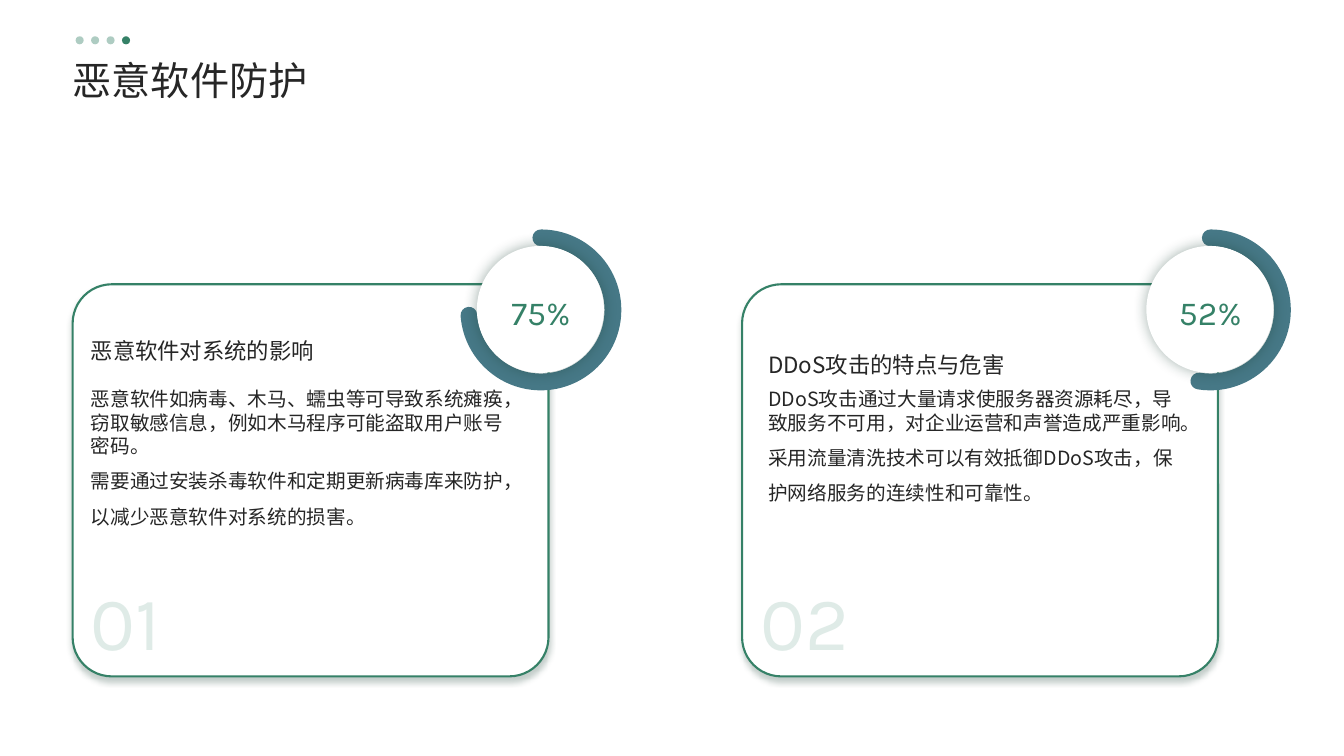
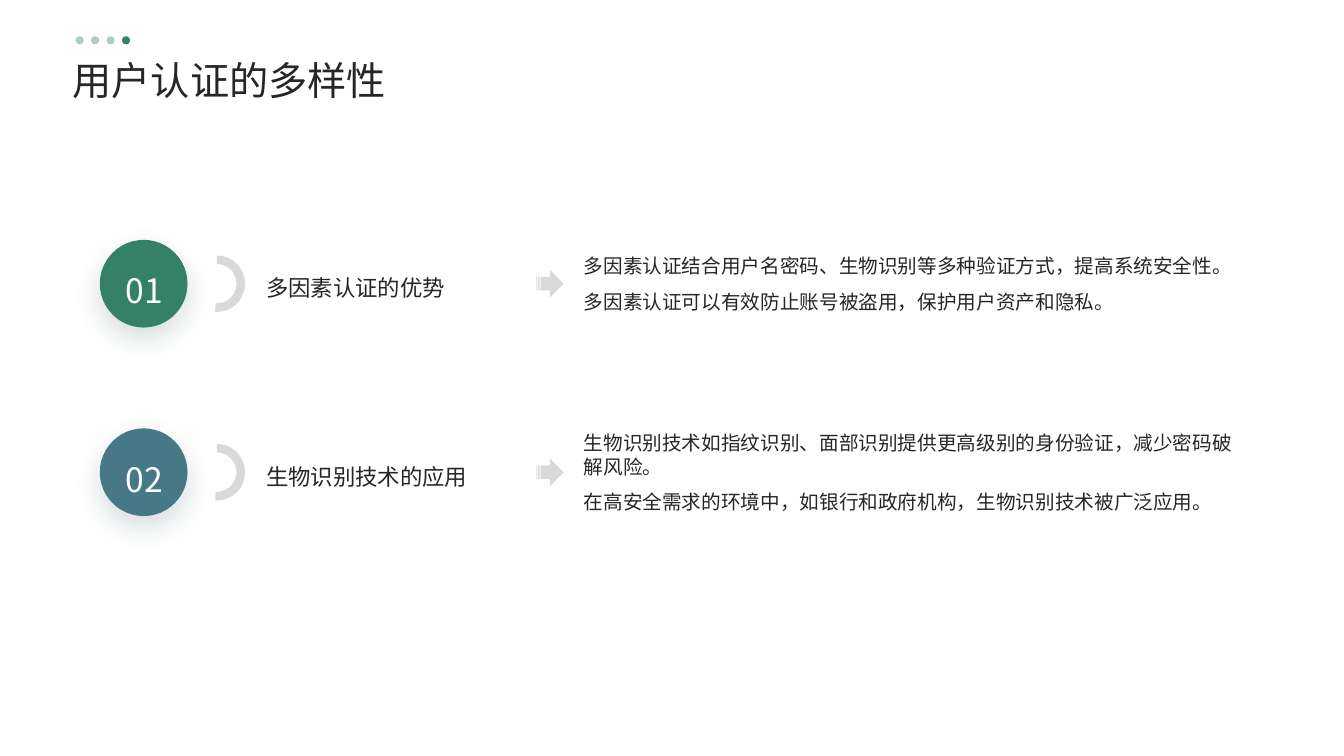
from lxml import etree
from pptx import Presentation
from pptx.dml.color import RGBColor
from pptx.enum.shapes import MSO_SHAPE
from pptx.enum.text import MSO_ANCHOR, PP_ALIGN
from pptx.oxml.ns import qn
from pptx.util import Inches, Pt

OVAL, CARD, ARC = MSO_SHAPE.OVAL, MSO_SHAPE.ROUNDED_RECTANGLE, MSO_SHAPE.ARC
BLOCK_ARC, ARROW = MSO_SHAPE.BLOCK_ARC, MSO_SHAPE.STRIPED_RIGHT_ARROW
TOP, MIDDLE, BOTTOM = MSO_ANCHOR.TOP, MSO_ANCHOR.MIDDLE, MSO_ANCHOR.BOTTOM
LEFT, CENTER = PP_ALIGN.LEFT, PP_ALIGN.CENTER

COLORS = {
    "green": "358167", "teal": "467886", "text": "262626", "white": "FFFFFF",
    "gray": "D9D9D9", "pale": "DFEBE7", "shade": "1B4034",
    "green shade": "28614D", "teal shade": "355A65",
}
CJK, LATIN = "Noto Sans CJK SC", "Karla"
BODY_SPACING = (Pt(16.8), Pt(25.2))  # first paragraph tight, second open

# Content
CARDS_TITLE = "恶意软件防护"
CARDS = [
    {"number": "01", "percent": "75%", "arc_end": 105.44,
     "heading": "恶意软件对系统的影响", "indent": 0.18, "heading_height": 0.69,
     "body": ["恶意软件如病毒、木马、蠕虫等可导致系统瘫痪，窃取敏感信息，例如木马程序可能盗取用户账号密码。",
              "需要通过安装杀毒软件和定期更新病毒库来防护，以减少恶意软件对系统的损害。"]},
    {"number": "02", "percent": "52%", "arc_end": 59.51,
     "heading": "DDoS攻击的特点与危害", "indent": 0.26, "heading_height": 0.83,
     "body": ["DDoS攻击通过大量请求使服务器资源耗尽，导致服务不可用，对企业运营和声誉造成严重影响。",
              "采用流量清洗技术可以有效抵御DDoS攻击，保护网络服务的连续性和可靠性。"]},
]
ROWS_TITLE = "用户认证的多样性"
ROWS = [
    {"number": "01", "color": "green", "heading": "多因素认证的优势",
     "body": ["多因素认证结合用户名密码、生物识别等多种验证方式，提高系统安全性。",
              "多因素认证可以有效防止账号被盗用，保护用户资产和隐私。"]},
    {"number": "02", "color": "teal", "heading": "生物识别技术的应用",
     "body": ["生物识别技术如指纹识别、面部识别提供更高级别的身份验证，减少密码破解风险。",
              "在高安全需求的环境中，如银行和政府机构，生物识别技术被广泛应用。"]},
]


def rgb(name):
    return RGBColor.from_string(COLORS[name])


def add_color(parent, name, alpha):
    color = etree.SubElement(parent, qn("a:srgbClr"), val=COLORS[name])
    etree.SubElement(color, qn("a:alpha"), val=str(alpha * 1000))


def add_shape(shapes, kind, left, top, width, height, fill=None, line=None,
              line_width=1.5, adjust=(), shadow=None, alpha=None):
    """shadow is (colour, opacity, blur, distance, direction)."""
    shape = shapes.add_shape(kind, Inches(left), Inches(top), Inches(width), Inches(height))
    for index, value in enumerate(adjust):
        shape.adjustments[index] = value
    if fill:
        shape.fill.solid()
        shape.fill.fore_color.rgb = rgb(fill)
    else:
        shape.fill.background()
    if line:
        shape.line.color.rgb = rgb(line)
        shape.line.width = Pt(line_width)
    else:
        shape.line.fill.background()
    properties = shape.element.spPr
    if alpha:
        solid = properties.find(qn("a:solidFill"))
        solid.clear()
        add_color(solid, fill, alpha)
    shape.shadow.inherit = False
    if shadow:
        name, opacity, blur, distance, direction = shadow
        outer = etree.SubElement(
            properties.find(qn("a:effectLst")), qn("a:outerShdw"),
            blurRad=str(Pt(blur)), dist=str(Pt(distance)),
            dir=str(direction * 60000), algn="ctr", rotWithShape="0")
        add_color(outer, name, opacity)
    return shape


def add_text(page, paragraphs, left, top, width, height, size, color="text",
             font=CJK, anchor=MIDDLE, align=LEFT, spacing=(1.0,)):
    box = page.shapes.add_textbox(Inches(left), Inches(top), Inches(width), Inches(height))
    frame = box.text_frame
    frame.word_wrap = True
    frame.vertical_anchor = anchor
    frame.margin_left = frame.margin_right = frame.margin_top = frame.margin_bottom = 0
    frame.text = "\n".join(paragraphs)
    for para, line_spacing in zip(frame.paragraphs, spacing):
        para.alignment = align
        para.line_spacing = line_spacing
        para.font.size = Pt(size)
        para.font.color.rgb = rgb(color)
        para.font.name = font
        defaults = para._p.pPr.find(qn("a:defRPr"))
        etree.SubElement(defaults, qn("a:ea"), typeface=font)


def add_page(deck, title):
    page = deck.slides.add_slide(deck.slide_layouts[6])
    add_text(page, [title], 0.72, 0.51, 11.88, 0.51, 28, spacing=(1.1,))
    dots = page.shapes.add_group_shape()
    for index in range(4):
        add_shape(dots.shapes, OVAL, 0.75 + index * 0.46 / 3, 0.36, 0.08, 0.08,
                  "green", alpha=None if index == 3 else 40)
    return page


def add_card(page, card, left):
    shapes = page.shapes
    add_shape(shapes, CARD, left, 2.82, 4.72, 3.89, "white", "green",
              adjust=(0.1,), shadow=("shade", 25, 4, 3, 90))
    # Progress ring around the percentage
    ring = add_shape(shapes, ARC, left + 3.93, 2.36, 1.43, 1.43, line="teal",
                     line_width=12, adjust=(162, card["arc_end"]))
    ring.element.spPr.get_or_add_ln().set("cap", "rnd")
    add_shape(shapes, OVAL, left + 4.01, 2.44, 1.26, 1.26, "white",
              shadow=("shade", 40, 10, 0, 0))
    add_text(page, [card["percent"]], left + 4.06, 2.69, 1.17, 0.82, 24,
             "green", LATIN, align=CENTER)
    # Words
    text_left = left + card["indent"]
    add_text(page, [card["heading"]], text_left, 2.92, 3.6, card["heading_height"],
             16, anchor=BOTTOM)
    add_text(page, card["body"], text_left, 3.84, 4.15, 2.1, 14,
             anchor=TOP, spacing=BODY_SPACING)
    add_text(page, [card["number"]], left + 0.18, 5.7, 1.2, 0.9, 54, "pale", LATIN)


def add_row(page, row, top):
    shapes = page.shapes
    middle = top + 0.435
    add_shape(shapes, OVAL, 0.99, top, 0.87, 0.87, row["color"],
              shadow=(row["color"] + " shade", 20, 20, 8, 90))
    add_text(page, [row["number"]], 1.05, top + 0.26, 0.76, 0.34, 24, "white",
             anchor=TOP, align=CENTER, spacing=(1.1,))
    bracket = add_shape(shapes, BLOCK_ARC, 1.87, middle - 0.28, 0.56, 0.56, "gray",
                        adjust=(108, 1.94, 0.15))
    bracket.rotation = 90
    add_text(page, [row["heading"]], 2.64, top, 2.49, 0.87, 16, spacing=(1.3,))
    add_shape(shapes, ARROW, 5.32, middle - 0.135, 0.27, 0.27, "gray")
    add_text(page, row["body"], 5.79, middle - 0.845, 6.53, 1.69, 14,
             spacing=BODY_SPACING)


def main():
    deck = Presentation()
    deck.slide_width, deck.slide_height = Inches(13.33), Inches(7.5)
    page = add_page(deck, CARDS_TITLE)
    for index, card in enumerate(CARDS):
        add_card(page, card, 0.72 + index * 6.64)
    page = add_page(deck, ROWS_TITLE)
    for index, row in enumerate(ROWS):
        add_row(page, row, 2.38 + index * 1.87)
    deck.save("out.pptx")


if __name__ == "__main__":
    main()
